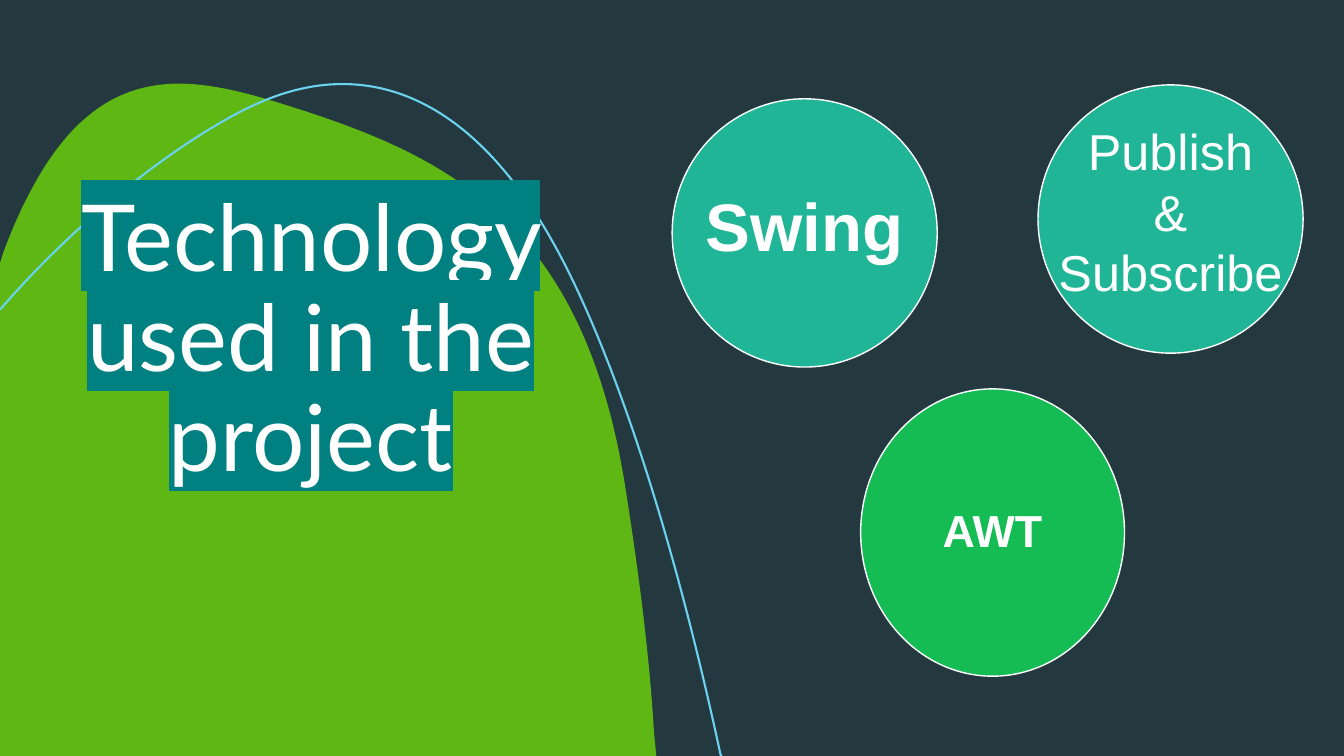
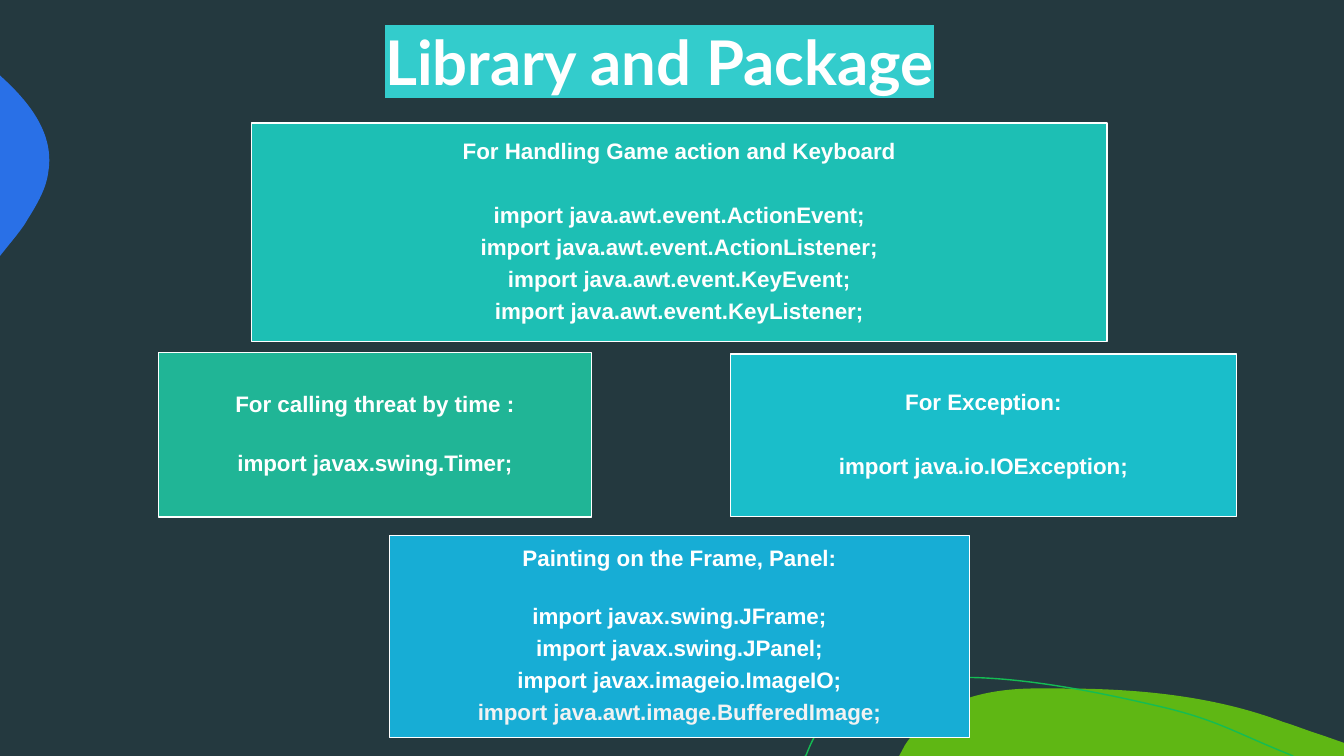
"""Two dark slides on the technology, libraries and packages of a Java game."""
from dataclasses import dataclass

from lxml import etree
from pptx import Presentation
from pptx import util as u
from pptx.dml.color import RGBColor
from pptx.enum import shapes, text
from pptx.oxml.ns import qn


@dataclass(frozen=True)
class Theme:
    """Colours, fonts and type sizes of the deck."""

    night: str = "24393F"
    white: str = "FFFFFF"
    pale: str = "F2F2F2"
    leaf: str = "5FB714"
    blue: str = "2970E7"
    sky: str = "6BD3EF"
    green: str = "14BC53"
    jade: str = "20B596"
    turquoise: str = "1DBFB4"
    cyan: str = "1ABECA"
    azure: str = "17ADD5"
    teal_mark: str = "008080"
    aqua_mark: str = "33CCCC"
    title_font: str = "Lato"
    body_font: str = "Arial"
    cover_size: int = 66
    title_size: int = 44
    swing_size: int = 48
    awt_size: int = 32
    publish_size: int = 36
    panel_size: int = 16


THEME = Theme()
WIDTH, HEIGHT = 33.87, 19.05

LARGE_HILL = [
    (4.37, 2.11),
    [(5.38, 2.08), (6.48, 2.41), (7.59, 2.77)],
    [(11.43, 4.01), (14.71, 5.74), (15.75, 12.22)],
    [(16.08, 14.3), (16.36, 16.41), (16.48, 18.42)],
    [(16.54, HEIGHT)], [(0, HEIGHT)], [(0, 6.63)], [(0.1, 6.32)],
    [(0.3, 5.79), (0.53, 5.26), (0.79, 4.78)],
    [(1.85, 2.79), (3.07, 2.16), (4.37, 2.11)],
]
LARGE_ARC = [
    (18.19, HEIGHT),
    [(18.16, 19.02)],
    [(17.04, 13.82), (15.62, 9.32), (14.15, 6.5)],
    [(11.94, 2.29), (9.17, 1.45), (6.58, 2.57)],
    [(5.38, 3.07), (2.62, 4.8), (0.03, 7.77)],
    [(0, 7.8)],
]
SMALL_HILL = [
    (26.77, 17.35),
    [(28.65, 17.35), (30.58, 17.53), (32.33, 18.19)],
    [(32.66, 18.29), (32.97, 18.42), (33.3, 18.52)],
    [(WIDTH, 18.72)], [(WIDTH, HEIGHT)], [(22.66, HEIGHT)], [(22.81, 18.77)],
    [(22.91, 18.62), (23.01, 18.49), (23.14, 18.36)],
    [(23.85, 17.6), (24.94, 17.37), (25.98, 17.35)],
    [(26.24, 17.35), (26.5, 17.35), (26.77, 17.35)],
]
SMALL_ARC = [
    (20.29, HEIGHT),
    [(20.32, 19.02)],
    [(20.47, 18.62), (20.68, 18.26), (20.93, 17.98)],
    [(21.59, 17.3), (22.58, 17.09), (23.52, 17.07)],
    [(24.26, 17.07)],
    [(25.96, 17.07), (27.94, 17.5), (29.34, 17.83)],
    [(30.71, 18.16), (31.14, 18.47), (32.59, HEIGHT)],
]
EDGE_DROP = [
    (0, 1.9),
    [(0.03, 1.93)],
    [(0.76, 2.59), (1.37, 3.38), (1.22, 4.32)],
    [(1.17, 4.75), (0.94, 5.14), (0.69, 5.54)],
    [(0.61, 5.69), (0.43, 5.92), (0.2, 6.2)],
    [(0, 6.45)],
]


def rgb(code):
    """Turn a hex code into a colour."""
    return RGBColor.from_string(code)


def paint(shape, fill=None, line=None, weight=1):
    """Set fill and outline, leaving out whichever is not given."""
    shape.shadow.inherit = False
    if fill:
        shape.fill.solid()
        shape.fill.fore_color.rgb = rgb(fill)
    else:
        shape.fill.background()
    if line:
        shape.line.color.rgb = rgb(line)
        shape.line.width = u.Pt(weight)
    else:
        shape.line.fill.background()


def highlight_run(run, color):
    """Put a marker colour behind a run whose font colour is set."""
    marker = etree.Element(qn("a:highlight"))
    etree.SubElement(marker, qn("a:srgbClr"), val=color)
    run.font._element.find(qn("a:solidFill")).addnext(marker)


def write(frame, lines, *, size, font=THEME.body_font, color=THEME.white,
          last_color=None, bold=False, align=text.PP_ALIGN.CENTER, spacing=1.0,
          after=0, heading_after=None, highlight=None):
    """Write one paragraph per line with a common format."""
    for index, line in enumerate(lines):
        paragraph = frame.add_paragraph() if index else frame.paragraphs[0]
        paragraph.alignment = align
        paragraph.line_spacing = spacing
        is_heading = index == 0 and heading_after is not None
        paragraph.space_after = u.Pt(heading_after if is_heading else after)
        is_last = index == len(lines) - 1
        run = paragraph.add_run()
        run.text = line
        run.font.size = u.Pt(size)
        run.font.bold = bold
        run.font.color.rgb = rgb(last_color if is_last and last_color else color)
        run.font.name = font
        if highlight:
            highlight_run(run, highlight)


def bend(shape, segments):
    """Join the three line steps of each curved segment into one Bézier curve."""
    steps = iter(list(shape.element.iter(qn("a:lnTo"))))
    for segment in segments:
        group = [next(steps) for _ in segment]
        if len(group) == 3:
            curve = etree.Element(qn("a:cubicBezTo"))
            group[0].addprevious(curve)
            for step in group:
                curve.append(step[0])
                step.getparent().remove(step)


def add_outline(slide, outline, fill=None, line=None, weight=1):
    """Draw a filled, closed outline or an open curve."""
    start, *segments = outline
    builder = slide.shapes.build_freeform(*map(u.Cm, start))
    points = [tuple(map(u.Cm, point)) for segment in segments for point in segment]
    builder.add_line_segments(points, close=fill is not None)
    shape = builder.convert_to_shape()
    bend(shape, segments)
    paint(shape, fill, line, weight)
    return shape


def add_title(slide, words, box, *, anchor, **style):
    """Place and format the title placeholder in front of the decoration."""
    title = slide.shapes.title
    title.left, title.top, title.width, title.height = map(u.Cm, box)
    frame = title.text_frame
    frame.word_wrap = True
    frame.auto_size = text.MSO_AUTO_SIZE.NONE
    frame.vertical_anchor = anchor
    write(frame, [words], font=THEME.title_font, **style)
    slide.shapes.element.append(title.element)


def add_labelled(slide, kind, box, fill, lines, *, wrap=True, lift=0, **style):
    """Add a white-edged shape with centred text, raised by lift."""
    shape = slide.shapes.add_shape(kind, *map(u.Cm, box))
    paint(shape, fill, THEME.white)
    frame = shape.text_frame
    frame.word_wrap = wrap
    frame.vertical_anchor = text.MSO_ANCHOR.MIDDLE
    frame.margin_left = frame.margin_right = frame.margin_top = u.Cm(0.18)
    frame.margin_bottom = u.Cm(0.18 + 2 * lift)
    write(frame, lines, **style)


def add_circle(slide, box, fill, lines, **style):
    """Add a round technology label."""
    add_labelled(slide, shapes.MSO_SHAPE.OVAL, box, fill, lines, wrap=False, **style)


def add_panel(slide, box, fill, lines, heading_after, **style):
    """Add a rectangle with a heading and its import lines."""
    add_labelled(slide, shapes.MSO_SHAPE.RECTANGLE, box, fill, lines, size=THEME.panel_size,
                 bold=True, spacing=0.9, after=5.6, heading_after=heading_after, **style)


def decorate_master(master, slide):
    """Draw the shared decoration and hand it to the master."""
    for outline, style in (
        (SMALL_HILL, {"fill": THEME.leaf}),
        (EDGE_DROP, {"fill": THEME.blue}),
        (SMALL_ARC, {"line": THEME.green}),
    ):
        master.shapes.element.append(add_outline(slide, outline, **style).element)


def build_technology(slide):
    """Build the slide of technologies."""
    cover = slide.shapes.add_shape(shapes.MSO_SHAPE.RECTANGLE, 0, 0, u.Cm(WIDTH), u.Cm(HEIGHT))
    paint(cover, THEME.night)
    add_outline(slide, LARGE_HILL, fill=THEME.leaf)
    add_outline(slide, LARGE_ARC, line=THEME.sky, weight=1.5)
    add_title(slide, "Technology used in the project", (0.83, 3.43, 14, 9.07),
              anchor=text.MSO_ANCHOR.BOTTOM, size=THEME.cover_size, spacing=0.9,
              highlight=THEME.teal_mark)
    add_circle(slide, (16.94, 2.49, 6.68, 6.76), THEME.jade, ["Swing"],
               size=THEME.swing_size, bold=True, spacing=0.9, lift=0.08)
    add_circle(slide, (21.69, 9.8, 6.65, 7.24), THEME.green, ["AWT"],
               size=THEME.awt_size, bold=True, spacing=0.9)
    add_circle(slide, (26.16, 2.14, 6.68, 6.76), THEME.jade, ["Publish", "&", "Subscribe"],
               size=THEME.publish_size, lift=0.2)


def build_library(slide):
    """Build the slide of libraries and packages."""
    add_title(slide, "Library and Package", (9.45, 0.47, 15.32, 2.13),
              anchor=text.MSO_ANCHOR.TOP, size=THEME.title_size, bold=True,
              align=text.PP_ALIGN.LEFT, highlight=THEME.aqua_mark)
    add_panel(slide, (9.82, 13.49, 14.61, 5.1), THEME.azure, [
        "Painting on the Frame, Panel:",
        "import javax.swing.JFrame;",
        "import javax.swing.JPanel;",
        "import javax.imageio.ImageIO;",
        "import java.awt.image.BufferedImage;",
    ], heading_after=24.3, last_color=THEME.pale)
    add_panel(slide, (18.41, 8.92, 12.75, 4.09), THEME.cyan, [
        "For Exception:",
        "import java.io.IOException;",
    ], heading_after=28.6)
    add_panel(slide, (6.34, 3.1, 21.56, 5.51), THEME.turquoise, [
        "For Handling Game action and Keyboard",
        "import java.awt.event.ActionEvent;",
        "import java.awt.event.ActionListener;",
        "import java.awt.event.KeyEvent;",
        "import java.awt.event.KeyListener;",
    ], heading_after=28.6)
    add_panel(slide, (3.99, 8.89, 10.92, 4.14), THEME.jade, [
        "For calling threat by time :",
        "import javax.swing.Timer;",
    ], heading_after=24.6)


def main():
    """Build and save the deck."""
    deck = Presentation()
    deck.slide_width, deck.slide_height = u.Cm(WIDTH), u.Cm(HEIGHT)
    master = deck.slide_master
    backdrop = master.background.fill
    backdrop.solid()
    backdrop.fore_color.rgb = rgb(THEME.night)
    title_only = deck.slide_layouts.get_by_name("Title Only")
    technology, library = (deck.slides.add_slide(title_only) for _ in range(2))
    decorate_master(master, library)
    build_technology(technology)
    build_library(library)
    deck.save("out.pptx")


if __name__ == "__main__":
    main()
